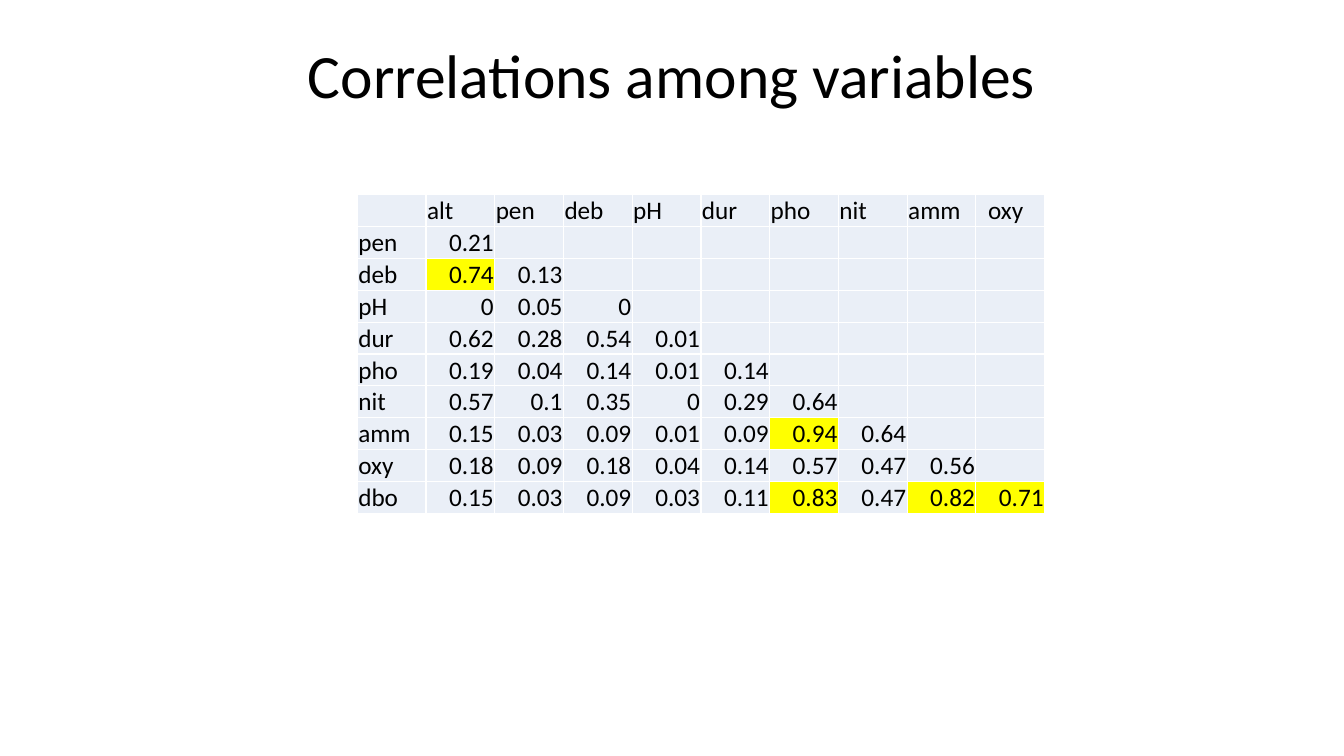
from lxml import etree
from pptx import Presentation
from pptx import util as u
from pptx.dml.color import RGBColor
from pptx.enum import text
from pptx.oxml import ns

FONT = "Calibri"
COLORS = {"text": "000000", "cell": "EAEFF7", "strong": "FFFF00", "border": "FFFFFF"}
STRONG_CORRELATION = 0.7
COLUMN_WIDTH, ROW_HEIGHT = 49.1, 22.6
CELL_INSET, OXY_INSET = 0.75, 8.75

HEADERS = ["alt", "pen", "deb", "pH", "dur", "pho", "nit", "amm", "oxy"]
CORRELATIONS = {
    "pen": [0.21],
    "deb": [0.74, 0.13],
    "pH": [0, 0.05, 0],
    "dur": [0.62, 0.28, 0.54, 0.01],
    "pho": [0.19, 0.04, 0.14, 0.01, 0.14],
    "nit": [0.57, 0.1, 0.35, 0, 0.29, 0.64],
    "amm": [0.15, 0.03, 0.09, 0.01, 0.09, 0.94, 0.64],
    "oxy": [0.18, 0.09, 0.18, 0.04, 0.14, 0.57, 0.47, 0.56],
    "dbo": [0.15, 0.03, 0.09, 0.03, 0.11, 0.83, 0.47, 0.82, 0.71],
}


def format_paragraph(paragraph, size, alignment):
    """Align a paragraph and set the font of its runs."""
    paragraph.alignment = alignment
    for run in paragraph.runs:
        run.font.name = FONT
        run.font.size = u.Pt(size)
        run.font.color.rgb = RGBColor.from_string(COLORS["text"])


def add_title(slide, title):
    """Add the centred slide title."""
    shape = slide.shapes.add_textbox(u.Pt(66), u.Pt(28.75), u.Pt(828), u.Pt(104.4))
    frame = shape.text_frame
    frame.word_wrap = True
    frame.text = title
    frame.paragraphs[0].line_spacing = 0.9
    format_paragraph(frame.paragraphs[0], 44, text.PP_ALIGN.CENTER)


def add_borders(cell):
    """Draw a thin line on all four sides of a cell."""
    properties = cell._tc.get_or_add_tcPr()
    for side in ("a:lnL", "a:lnR", "a:lnT", "a:lnB"):
        line = etree.SubElement(properties, ns.qn(side), w=str(u.Pt(1)))
        fill = etree.SubElement(line, ns.qn("a:solidFill"))
        etree.SubElement(fill, ns.qn("a:srgbClr"), val=COLORS["border"])


def fill_cell(cell, value):
    """Write a label or a correlation, marking strong correlations."""
    is_number = not isinstance(value, str)
    is_strong = is_number and value > STRONG_CORRELATION
    add_borders(cell)
    cell.fill.solid()
    cell.fill.fore_color.rgb = RGBColor.from_string(COLORS["strong" if is_strong else "cell"])
    cell.margin_left = cell.margin_right = cell.margin_top = u.Pt(CELL_INSET)
    cell.margin_bottom = 0
    cell.vertical_anchor = text.MSO_ANCHOR.BOTTOM
    cell.text_frame.text = str(value)
    alignment = text.PP_ALIGN.RIGHT if is_number else text.PP_ALIGN.LEFT
    format_paragraph(cell.text_frame.paragraphs[0], 18, alignment)


def add_correlation_table(slide):
    """Add the lower triangle of the correlation matrix."""
    rows = [["", *HEADERS]]
    for name, values in CORRELATIONS.items():
        rows.append([name, *values] + [""] * (len(HEADERS) - len(values)))
    row_count, column_count = len(rows), len(rows[0])
    table = slide.shapes.add_table(
        row_count, column_count, u.Pt(255.2), u.Pt(139.2),
        u.Pt(COLUMN_WIDTH * column_count), u.Pt(ROW_HEIGHT * row_count)).table
    table.first_row = table.horz_banding = False
    for column in table.columns:
        column.width = u.Pt(COLUMN_WIDTH)
    for row, values in zip(table.rows, rows):
        row.height = u.Pt(ROW_HEIGHT)
        for cell, value in zip(row.cells, values):
            fill_cell(cell, value)
    table.cell(0, column_count - 1).margin_left = u.Pt(OXY_INSET)


def main():
    """Build and save the slide."""
    presentation = Presentation()
    presentation.slide_width, presentation.slide_height = u.Pt(960), u.Pt(540)
    slide = presentation.slides.add_slide(presentation.slide_layouts[6])
    add_correlation_table(slide)
    add_title(slide, "Correlations among variables")
    presentation.save("out.pptx")


main()
